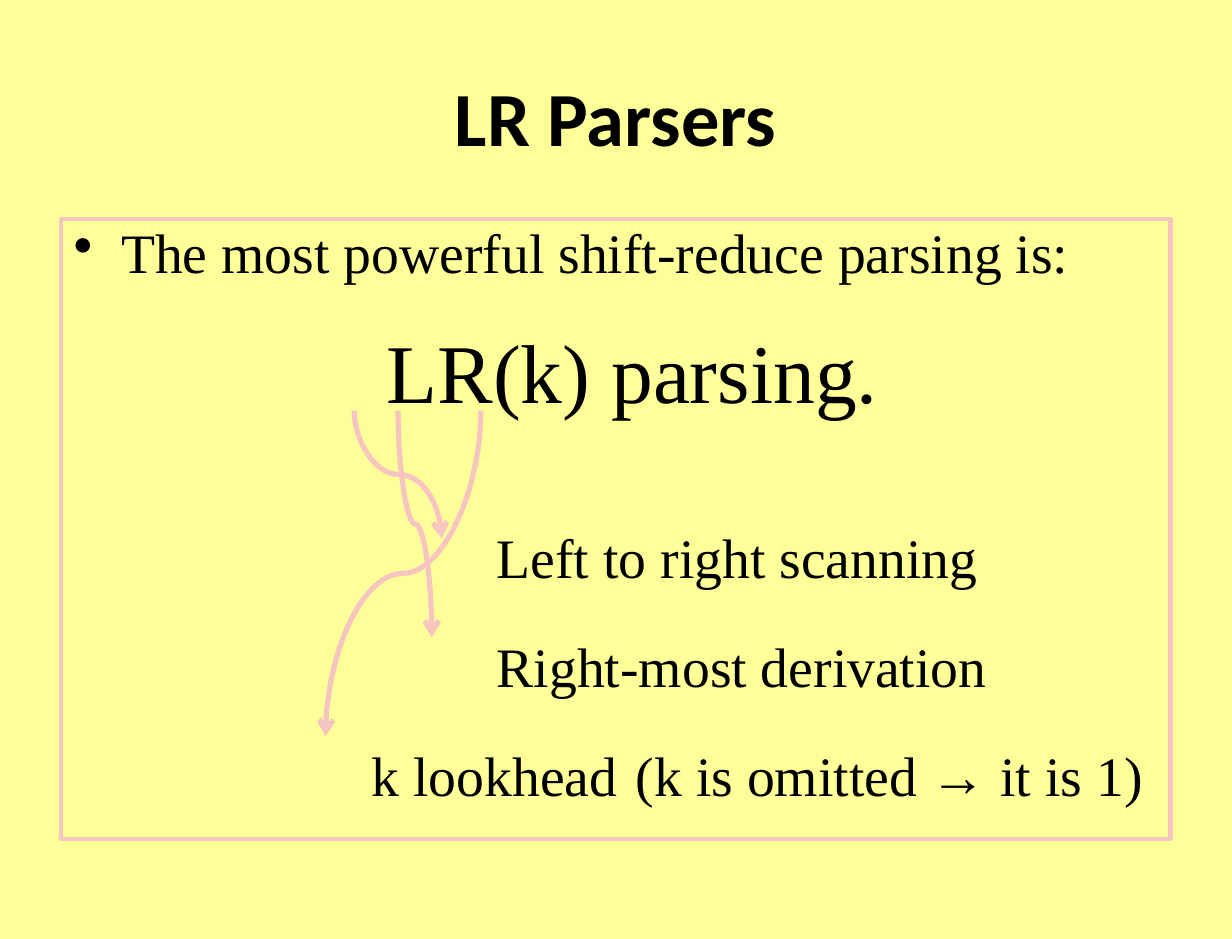
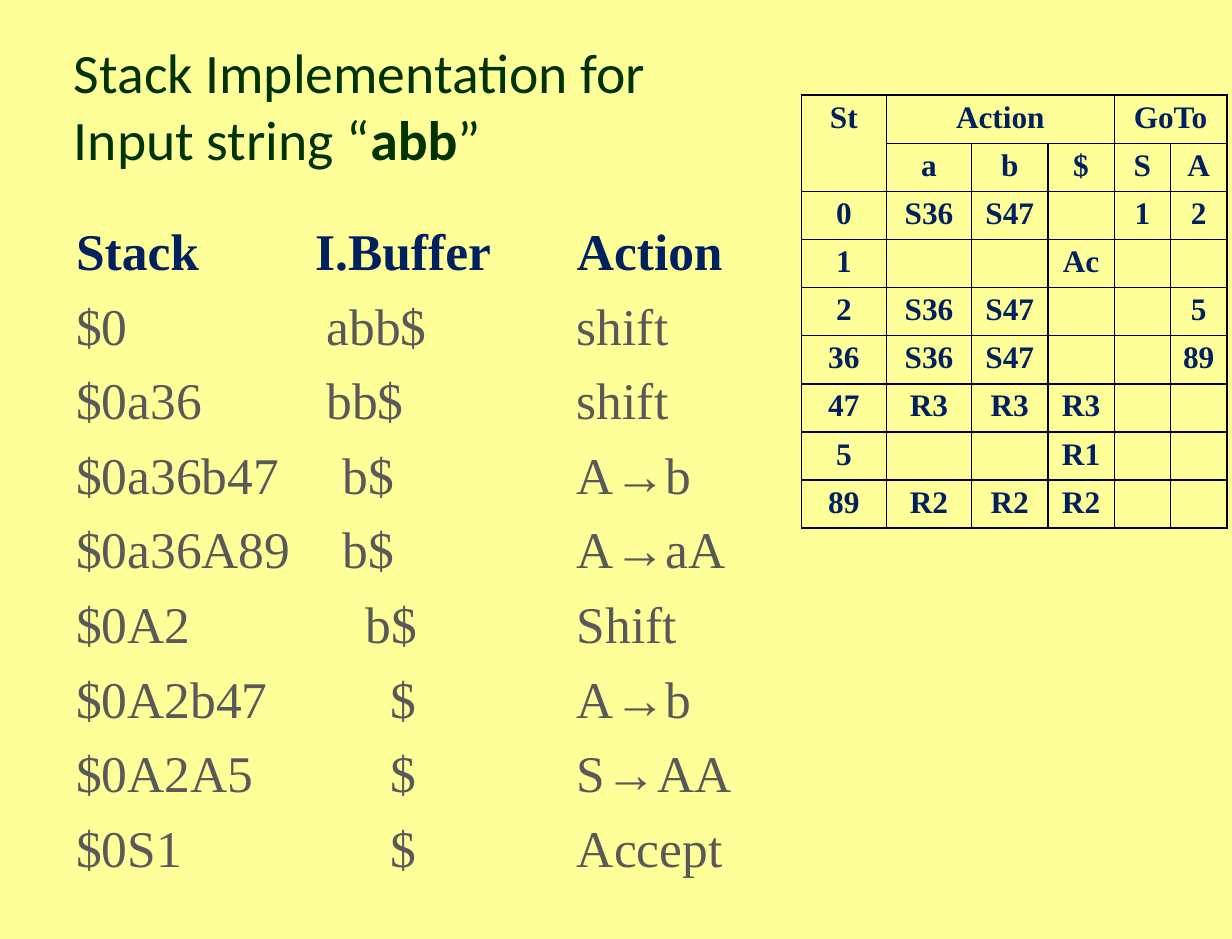
from lxml import etree
from pptx import Presentation
from pptx.dml.color import RGBColor
from pptx.enum.shapes import MSO_CONNECTOR, MSO_SHAPE
from pptx.enum.text import MSO_ANCHOR, PP_ALIGN
from pptx.oxml.ns import qn
from pptx.util import Inches, Pt

CURVE = MSO_CONNECTOR.CURVE
RECTANGLE = MSO_SHAPE.RECTANGLE
LEFT, CENTER = PP_ALIGN.LEFT, PP_ALIGN.CENTER
TOP, MIDDLE = MSO_ANCHOR.TOP, MSO_ANCHOR.MIDDLE

TITLE_FONT, BODY_FONT = "Calibri", "Times New Roman"
YELLOW, PINK, BLACK = "FFFF99", "F6C5BF", "000000"
GREEN, NAVY, GRAY = "003300", "002060", "595959"
TITLE_ONLY = 5

# text, size, left indent (inches), line spacing, space before (points)
LR_LINES = [
    ("The most powerful shift-reduce parsing is:", 32, 0.38, 0.9, 3.5),
    ("LR(k) parsing.", 48, 2.5, 0.9, 26.5),
    ("Left to right scanning", 32, 3.38, 0.8, 65.7),
    ("Right-most derivation", 32, 3.38, 0.8, 32),
    ("k lookhead\t (k is omitted → it is 1)", 32, 2.38, 0.8, 32),
]
LR_ARROWS = [
    ((2.83, 3.28), (3.53, 4.3)),
    ((3.18, 3.28), (3.45, 5.09)),
    ((3.84, 3.28), (2.6, 5.88)),
]
# stack, buffer, action, tab stop of the buffer (inches)
STACK_ROWS = [
    ("Stack", "I.Buffer", "Action", 1.91),
    ("$0", "abb$", "shift", 2),
    ("$0a36", "bb$", "shift", 2),
    ("$0a36b47", "b$", "A→b", 2.13),
    ("$0a36A89", "b$", "A→aA", 2.13),
    ("$0A2", "b$", "Shift", 2.31),
    ("$0A2b47", "$", "A→b", 2.51),
    ("$0A2A5", "$", "S→AA", 2.51),
    ("$0S1", "$", "Accept", 2.51),
]
ACTION_TAB = 4
PARSE_TABLE = [
    ("St", "Action", "", "", "GoTo", ""),
    ("", "a", "b", "$", "S", "A"),
    ("0", "S36", "S47", "", "1", "2"),
    ("1", "", "", "Ac", "", ""),
    ("2", "S36", "S47", "", "", "5"),
    ("36", "S36", "S47", "", "", "89"),
    ("47", "R3", "R3", "R3", "", ""),
    ("5", "", "", "R1", "", ""),
    ("89", "R2", "R2", "R2", "", ""),
]
MERGES = [((0, 0), (1, 0)), ((0, 1), (0, 3)), ((0, 4), (0, 5))]
COLUMN_WIDTHS = [0.68, 0.68, 0.61, 0.53, 0.45, 0.45]


def color(hex_string):
    return RGBColor.from_string(hex_string)


def add_xml(parent, tag, **attributes):
    element = etree.SubElement(parent, qn(tag))
    for name, value in attributes.items():
        element.set(name, str(value))
    return element


def set_attributes(target, values):
    for name, value in values.items():
        setattr(target, name, value)


def add_run(paragraph, text, font_name, size, font_color, bold=False):
    run = paragraph.add_run()
    run.text = text
    set_attributes(run.font, {"name": font_name, "size": Pt(size), "bold": bold})
    run.font.color.rgb = color(font_color)


def add_titled_slide(presentation, box, alignment, size, font_color, lines):
    """Add a slide; each title line is a list of (text, bold) runs."""
    slide = presentation.slides.add_slide(presentation.slide_layouts[TITLE_ONLY])
    title = slide.shapes.title
    left, top, width, height = map(Inches, box)
    set_attributes(title, {"left": left, "top": top, "width": width, "height": height})
    title.text_frame.vertical_anchor = MIDDLE
    paragraph = title.text_frame.paragraphs[0]
    paragraph.alignment = alignment
    for index, line in enumerate(lines):
        if index:
            paragraph.add_line_break()
        for text, bold in line:
            add_run(paragraph, text, TITLE_FONT, size, font_color, bold)
    return slide


def add_body(slide, box):
    shape = slide.shapes.add_shape(RECTANGLE, *map(Inches, box))
    shape.shadow.inherit = False
    shape.fill.background()
    shape.line.fill.background()
    set_attributes(shape.text_frame, {"word_wrap": True, "vertical_anchor": TOP})
    return shape


def add_paragraphs(shape, count):
    frame = shape.text_frame
    for _ in range(count - 1):
        frame.add_paragraph()
    for paragraph in frame.paragraphs:
        paragraph.alignment = LEFT
    return frame.paragraphs


def add_curved_arrow(slide, start, end):
    """Draw an S-curve that leaves and arrives vertically."""
    (start_x, start_y), (end_x, end_y) = start, end
    center_x, center_y = (start_x + end_x) / 2, (start_y + end_y) / 2
    half_width, half_height = abs(end_y - start_y) / 2, abs(end_x - start_x) / 2
    connector = slide.shapes.add_connector(
        CURVE,
        Inches(center_x - half_width), Inches(center_y - half_height),
        Inches(center_x + half_width), Inches(center_y + half_height))
    properties = connector._element.spPr
    transform = properties.find(qn("a:xfrm"))
    if end_x > start_x:
        transform.set("flipH", "1")
    transform.set("rot", str((270 if end_x > start_x else 90) * 60000))
    connector.line.color.rgb = color(PINK)
    connector.line.width = Pt(3)
    add_xml(properties.find(qn("a:ln")), "a:tailEnd", type="arrow")
    add_xml(properties, "a:effectLst")


def format_cell(cell, text):
    set_attributes(cell, {"margin_left": Inches(0.07), "margin_right": Inches(0.07),
                          "margin_top": 0, "margin_bottom": 0})
    paragraph = cell.text_frame.paragraphs[0]
    set_attributes(paragraph, {"alignment": CENTER, "line_spacing": 1.15})
    if text:
        add_run(paragraph, text, BODY_FONT, 18, NAVY, True)
    properties = cell._tc.get_or_add_tcPr()
    for side in ("a:lnL", "a:lnR", "a:lnT", "a:lnB"):
        line = add_xml(properties, side, w=Pt(1))
        add_xml(add_xml(line, "a:solidFill"), "a:srgbClr", val=BLACK)
    cell.fill.background()


def add_parse_table(slide):
    frame = slide.shapes.add_table(
        len(PARSE_TABLE), len(COLUMN_WIDTHS),
        Inches(6.4), Inches(0.76), Inches(sum(COLUMN_WIDTHS)), Inches(3.46))
    table = frame.table
    set_attributes(table, {"first_row": False, "horz_banding": False})
    for column, width in zip(table.columns, COLUMN_WIDTHS):
        column.width = Inches(width)
    for row_index, row in enumerate(PARSE_TABLE):
        for column_index, text in enumerate(row):
            format_cell(table.cell(row_index, column_index), text)
    for first, last in MERGES:
        table.cell(*first).merge(table.cell(*last))


def build_lr_parsers(presentation):
    slide = add_titled_slide(presentation, (0.49, 0.3, 8.86, 1.25), CENTER, 44, BLACK,
                             [[("LR Parsers", True)]])
    body = add_body(slide, (0.49, 1.75, 8.86, 4.95))
    body.line.color.rgb = color(PINK)
    body.line.width = Pt(2.5)
    paragraphs = add_paragraphs(body, len(LR_LINES))
    for paragraph, line in zip(paragraphs, LR_LINES):
        text, size, indent, line_spacing, space_before = line
        set_attributes(paragraph, {"line_spacing": line_spacing,
                                   "space_before": Pt(space_before)})
        add_run(paragraph, text, BODY_FONT, size, BLACK)
        paragraph._p.get_or_add_pPr().set("marL", str(Inches(indent)))
    bullet_properties = paragraphs[0]._p.get_or_add_pPr()
    bullet_properties.set("indent", str(-Inches(0.38)))
    add_xml(bullet_properties, "a:buChar", char="•")
    for start, end in LR_ARROWS:
        add_curved_arrow(slide, start, end)


def build_stack_implementation(presentation):
    slide = add_titled_slide(presentation, (0.49, 0.13, 5.8, 1.42), LEFT, 32, GREEN,
                             [[("Stack Implementation for", False)],
                              [("Input string “", False), ("abb", True), ("”", False)]])
    body = add_body(slide, (0.51, 1.7, 5.8, 4.95))
    paragraphs = add_paragraphs(body, len(STACK_ROWS))
    for index, (paragraph, row) in enumerate(zip(paragraphs, STACK_ROWS)):
        *texts, buffer_tab = row
        header = index == 0
        paragraph.space_before = Pt(3.5 if header else 7.4)
        add_run(paragraph, "\t".join(texts), BODY_FONT, 29.6,
                NAVY if header else GRAY, header)
        tabs = add_xml(paragraph._p.get_or_add_pPr(), "a:tabLst")
        for position in (buffer_tab, ACTION_TAB):
            add_xml(tabs, "a:tab", pos=Inches(position), algn="l")
    add_parse_table(slide)


def main():
    presentation = Presentation()
    presentation.slide_width, presentation.slide_height = Inches(9.84), Inches(7.5)
    background = presentation.slide_master.background.fill
    background.solid()
    background.fore_color.rgb = color(YELLOW)
    build_lr_parsers(presentation)
    build_stack_implementation(presentation)
    presentation.save("out.pptx")


if __name__ == "__main__":
    main()
